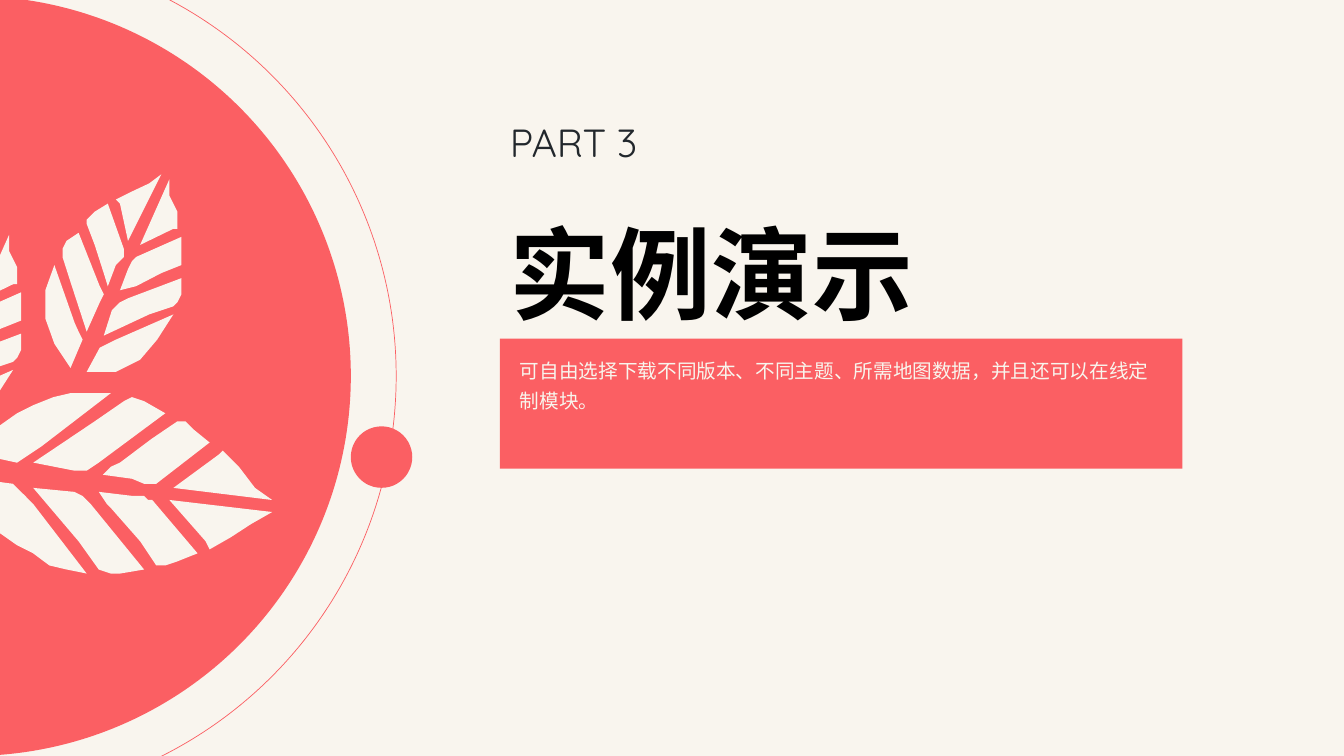
"""Section slide: a leafy disc on the left, a part heading on the right.

All lengths are columns and rows of a grid with ten cells to the inch.
"""
from dataclasses import dataclass

import lxml.etree
import pptx
import pptx.dml.color
import pptx.enum.shapes
import pptx.enum.text
import pptx.oxml.ns
import pptx.shapes.autoshape
import pptx.slide
import pptx.util

COLUMNS, ROWS = 133.33, 75

CREAM = pptx.dml.color.RGBColor(0xF9, 0xF5, 0xEE)
PALE = pptx.dml.color.RGBColor(0xF8, 0xF5, 0xED)
CORAL = pptx.dml.color.RGBColor(0xFB, 0x5F, 0x63)
SLATE = pptx.dml.color.RGBColor(0x22, 0x27, 0x2C)
BLACK = pptx.dml.color.RGBColor(0, 0, 0)

Point = tuple[float, float]
Segment = list[Point]
MSO_SHAPE = pptx.enum.shapes.MSO_SHAPE
ANCHOR = pptx.enum.text.MSO_ANCHOR


@dataclass(frozen=True)
class Box:
    left: float
    top: float
    width: float
    height: float

    def emu(self) -> list[int]:
        return [cells(n) for n in (self.left, self.top, self.width, self.height)]


@dataclass(frozen=True)
class Circle:
    center: Point
    diameter: float
    filled: bool = True

    def box(self) -> Box:
        x, y = self.center
        radius = self.diameter / 2
        return Box(x - radius, y - radius, self.diameter, self.diameter)


@dataclass(frozen=True)
class Caption:
    text: str
    box: Box
    size: int
    font: str
    color: pptx.dml.color.RGBColor
    bold: bool = False
    anchor: ANCHOR = ANCHOR.MIDDLE


BANNER = Box(49.6, 33.6, 67.7, 12.9)
DISC_CENTER = (-2.9, 37.3)
CIRCLES = [
    Circle(DISC_CENTER, 84.4, filled=False),
    Circle(DISC_CENTER, 75.4),
    Circle((37.85, 45.35), 6.1),
]
CAPTIONS = [
    Caption("PART 3", Box(49.6, 9.7, 25.7, 7.4), 28, "Quicksand", SLATE),
    Caption("实例演示", Box(49.6, 19.2, 67.7, 12), 72, "Noto Sans CJK SC", BLACK, bold=True),
    Caption("可自由选择下载不同版本、不同主题、所需地图数据，并且还可以在线定制模块。",
            Box(50.6, 34.4, 65.1, 11.3), 14, "Noto Sans CJK SC", PALE, anchor=ANCHOR.TOP),
]

LOWER_LEAF: list[Segment] = [
    [(20.4, 53.7), (20.8, 54.5), (22.9, 53.3), (24.9, 52), (27, 50.8), (16.8, 49.6)],
    [(13.1, 49.2), (9.8, 48.8), (10.6, 50), (11, 50.4), (13.9, 53.7), (15.5, 56.1),
     (16.4, 56.1), (17.6, 55.7), (19.6, 54.9), (15.1, 49.6), (14.7, 49.6), (14.3, 49.2)],
    [(7.4, 48.8), (3.3, 48.4), (7.8, 53.7), (9.8, 56.5), (11, 56.9), (11.9, 56.9),
     (14.3, 56.5), (9, 50), (8.2, 49.2)],
    [(1.3, 48), (-2.4, 47.5), (-2, 49.6), (-1.2, 51.2), (0, 52.9), (1.7, 54.1),
     (3.3, 54.9), (4.9, 56.1), (6.6, 56.5), (8.6, 56.9), (3.3, 50), (2.5, 49.2)],
    [(23.7, 46.3), (22.1, 44.7), (21.7, 45.1), (17.2, 48.4), (27, 49.6), (25.3, 48.4)],
    [(11.9, 45.9), (11, 46.3), (10.2, 47.1), (13.1, 47.5), (14.3, 48), (15.5, 48),
     (20.8, 43.9), (19.2, 42.6), (18.4, 41.8), (17.6, 41.8), (15.1, 43.5)],
    [(9.8, 45.9), (16.4, 41), (14.3, 39.8), (13.1, 39.4), (12.3, 39.8), (9.4, 41.8),
     (3.3, 45.9), (7.4, 46.7), (8.6, 46.7)],
    [(-2, 45.1), (1.7, 45.9), (2.9, 45.1), (4.1, 44.3), (11, 39), (9, 39), (7, 39),
     (5.3, 39.4), (3.3, 40.2), (1.7, 41), (0, 42.2), (-1.2, 43.5)],
]
UPPER_LEAF_LEFT_HALF: list[Segment] = [
    [(12.7, 23.9), (16, 17.3), (14.8, 18.2), (13.1, 19), (11.5, 19.8), (11.9, 20.2)],
    [(10.3, 27.1), (10.7, 28.4), (11.5, 26.3), (12.3, 25.5), (12.3, 24.7), (10.7, 20.2),
     (9.4, 21), (8.6, 21.8), (8.6, 22.2), (9.4, 24.3)],
    [(7, 28), (8.6, 32.9), (9.9, 30), (10.3, 29.2), (9.9, 28.4), (7.8, 23.1),
     (6.6, 23.9), (6.2, 24.7), (6.2, 25.5)],
    [(7.4, 32), (5.4, 26.3), (4.5, 28.8), (4.5, 31.6), (5.4, 34.1), (6.2, 35.3),
     (7, 36.5), (8.2, 33.7), (7.8, 32.9)],
]
UPPER_LEAF_RIGHT_HALF: list[Segment] = [
    [(17.2, 22.7), (17.6, 22.7), (17.6, 21), (16.8, 19.4), (16.8, 17.8), (13.9, 24.3)],
    [(12.7, 26.7), (11.9, 28.8), (13.5, 28.4), (16, 27.1), (18, 26.3), (18, 25.9),
     (18, 23.5), (13.5, 25.5), (13.1, 25.9)],
    [(17.2, 30.4), (17.6, 30), (18, 29.2), (18, 27.6), (12.7, 29.6), (11.9, 30),
     (11.1, 30.8), (10.3, 33.3), (14.8, 31.2)],
    [(9.9, 34.5), (8.6, 36.9), (9.9, 36.9), (11.5, 36.9), (13.9, 35.7), (15.6, 33.7),
     (17.2, 31.2), (11.5, 33.7), (10.7, 34.1)],
]
EDGE_LEAF_SHIFT = (-15.9, 5.5)


def cells(count: float) -> int:
    return int(pptx.util.Inches(count / 10))


def shifted(segments: list[Segment], shift: Point) -> list[Segment]:
    return [[(x + shift[0], y + shift[1]) for x, y in segment] for segment in segments]


def paint(shape: pptx.shapes.autoshape.Shape, color: pptx.dml.color.RGBColor) -> None:
    shape.shadow.inherit = False
    shape.fill.solid()
    shape.fill.fore_color.rgb = color
    shape.line.fill.background()


def draw_circle(slide: pptx.slide.Slide, circle: Circle) -> None:
    disc = slide.shapes.add_shape(MSO_SHAPE.OVAL, *circle.box().emu())
    paint(disc, CORAL)
    if not circle.filled:
        disc.fill.background()
        disc.line.color.rgb = CORAL
        disc.line.width = pptx.util.Pt(0.5)


def draw_leaf(slide: pptx.slide.Slide, segments: list[Segment]) -> None:
    """Draw the pieces between a leaf's veins and group them."""
    pieces = []
    for segment in segments:
        start, *others = [(cells(x), cells(y)) for x, y in segment]
        outline = slide.shapes.build_freeform(*start)
        outline.add_line_segments(others, close=True)
        piece = outline.convert_to_shape()
        paint(piece, CREAM)
        pieces.append(piece)
    slide.shapes.add_group_shape(pieces)


def draw_caption(slide: pptx.slide.Slide, caption: Caption) -> None:
    frame = slide.shapes.add_textbox(*caption.box.emu()).text_frame
    frame.word_wrap = True
    frame.vertical_anchor = caption.anchor
    frame.text = caption.text
    paragraph = frame.paragraphs[0]
    paragraph.line_spacing = 1.3
    paragraph.space_before = pptx.util.Pt(10)
    font = paragraph.runs[0].font
    font.size = pptx.util.Pt(caption.size)
    font.bold = caption.bold
    font.color.rgb = caption.color
    font.name = caption.font
    east_asian = lxml.etree.SubElement(font._element, pptx.oxml.ns.qn("a:ea"))
    east_asian.set("typeface", caption.font)


def main() -> None:
    deck = pptx.Presentation()
    deck.slide_width, deck.slide_height = cells(COLUMNS), cells(ROWS)
    slide = deck.slides.add_slide(deck.slide_layouts[6])
    slide.background.fill.solid()
    slide.background.fill.fore_color.rgb = CREAM

    paint(slide.shapes.add_shape(MSO_SHAPE.RECTANGLE, *BANNER.emu()), CORAL)
    for caption in CAPTIONS:
        draw_caption(slide, caption)
    for circle in CIRCLES:
        draw_circle(slide, circle)
    edge_leaf = shifted(UPPER_LEAF_RIGHT_HALF, EDGE_LEAF_SHIFT)
    for leaf in (LOWER_LEAF, edge_leaf, UPPER_LEAF_LEFT_HALF + UPPER_LEAF_RIGHT_HALF):
        draw_leaf(slide, leaf)
    deck.save("out.pptx")


if __name__ == "__main__":
    main()
